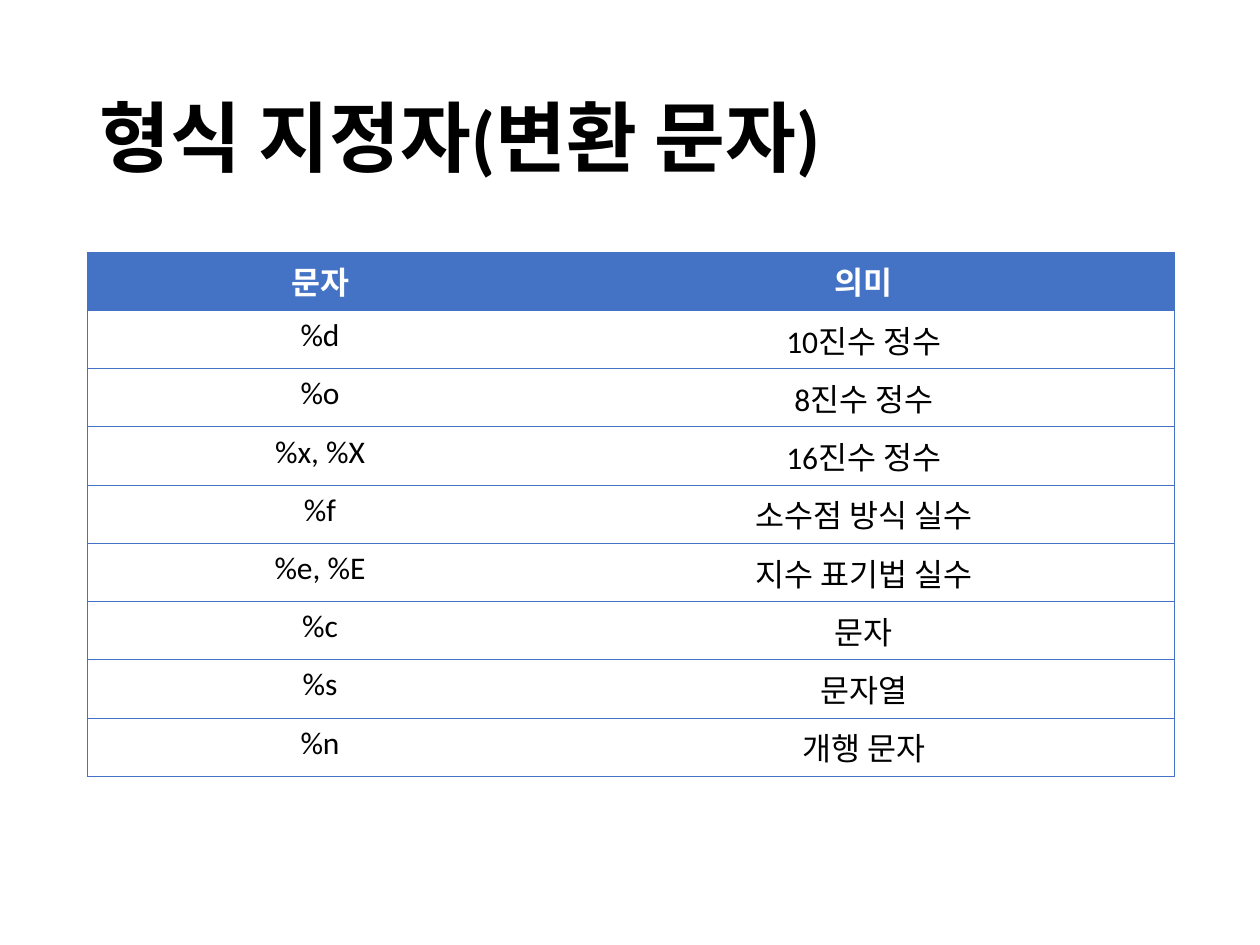
from typing import NamedTuple

from lxml.etree import SubElement
from pptx import Presentation
from pptx.dml.color import RGBColor
from pptx.enum.text import MSO_ANCHOR, PP_ALIGN
from pptx.oxml.ns import qn
from pptx.util import Inches, Pt

COLORS = {"blue": "4472C4", "white": "FFFFFF", "black": "000000"}
FONT = "Calibri"
NO_STYLE = "{2D5ABB26-0587-4C30-8999-92F81FD0307C}"
COL_WIDTHS = (3.7, 4.93)
TABLE_HEIGHT = 4.16


class Specifier(NamedTuple):
    symbol: str
    meaning: str


HEADER = Specifier("문자", "의미")
SPECIFIERS = [
    Specifier("%d", "10진수 정수"),
    Specifier("%o", "8진수 정수"),
    Specifier("%x, %X", "16진수 정수"),
    Specifier("%f", "소수점 방식 실수"),
    Specifier("%e, %E", "지수 표기법 실수"),
    Specifier("%c", "문자"),
    Specifier("%s", "문자열"),
    Specifier("%n", "개행 문자"),
]


def set_font(p, size: float, color: str, bold: bool) -> None:
    font = p.font
    font.name, font.size, font.bold = FONT, Pt(size), bold
    font.color.rgb = RGBColor.from_string(COLORS[color])


def add_borders(cell, sides: str) -> None:
    """Draw thin blue lines on the given sides, in the order L, R, T, B."""
    tc_pr = cell._tc.get_or_add_tcPr()
    for side in sides:
        ln = SubElement(tc_pr, qn(f"a:ln{side}"), w=str(Pt(0.5)))
        fill = SubElement(ln, qn("a:solidFill"))
        SubElement(fill, qn("a:srgbClr"), val=COLORS["blue"])


def fill_cell(cell, text: str, sides: str, is_header: bool) -> None:
    add_borders(cell, sides)
    if is_header:
        cell.fill.solid()
        cell.fill.fore_color.rgb = RGBColor.from_string(COLORS["blue"])
    else:
        cell.fill.background()
    p = cell.text_frame.paragraphs[0]
    p.text = text
    p.alignment = PP_ALIGN.CENTER
    set_font(p, 18, "white" if is_header else "black", is_header)


prs = Presentation()
prs.slide_width, prs.slide_height = Inches(10), Inches(7.5)
s = prs.slides.add_slide(prs.slide_layouts[6])

# Title
title = s.shapes.add_textbox(Inches(0.69), Inches(0.4), Inches(8.62), Inches(1.45))
tf = title.text_frame
tf.word_wrap = True
tf.vertical_anchor = MSO_ANCHOR.MIDDLE
p = tf.paragraphs[0]
p.text = "형식 지정자(변환 문자)"
p.line_spacing = 0.9
set_font(p, 44, "black", True)

# Table of format specifiers
rows = [HEADER, *SPECIFIERS]
frame = s.shapes.add_table(len(rows), len(COL_WIDTHS), Inches(0.69), Inches(2),
                           Inches(sum(COL_WIDTHS)), Inches(TABLE_HEIGHT))
table = frame.table
table.horz_banding = False
table._tbl.tblPr.find(qn("a:tableStyleId")).text = NO_STYLE
for column, width in zip(table.columns, COL_WIDTHS):
    column.width = Inches(width)
for i, specifier in enumerate(rows):
    table.rows[i].height = Inches(TABLE_HEIGHT / len(rows))
    for j, (text, sides) in enumerate(zip(specifier, ("LTB", "RTB"))):
        fill_cell(table.cell(i, j), text, sides, i == 0)

prs.save("out.pptx")
